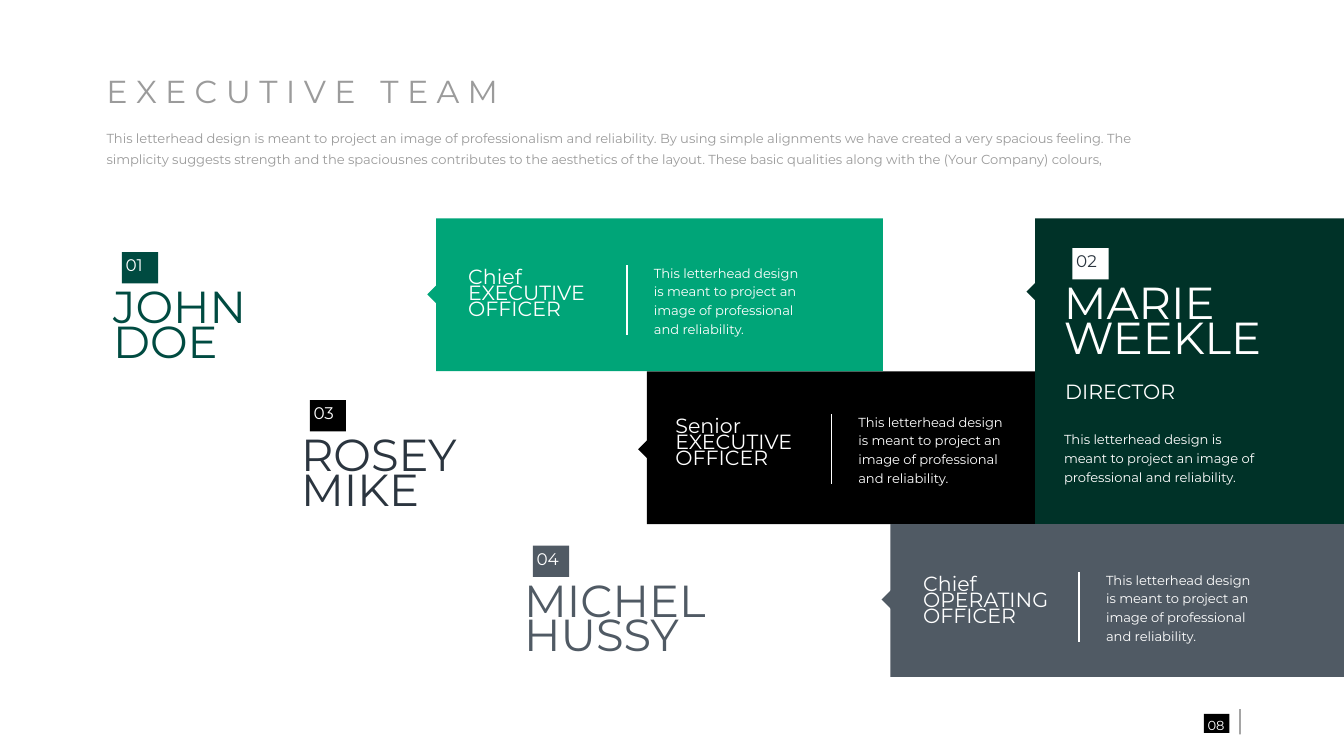
from pptx import Presentation
from pptx import util as u
from pptx.dml.color import RGBColor
from pptx.enum import shapes, text
from pptx.oxml.ns import qn
from lxml import etree

COLS, ROWS = 100, 56.25  # grid of square cells, a tenth of an inch each
FONT = "Montserrat"
WHITE, BLACK, GREY, INK = "FFFFFF", "000000", "9B9B9B", "2B353F"
GREEN, PINE, FOREST, SLATE = "00A578", "004B41", "003228", "505A64"
BLURB = ("This letterhead design is meant to project an image of "
         "professional and reliability.")
INTRO = ("This letterhead design is meant to project an image of professionalism "
         "and reliability. By using simple alignments we have created a very "
         "spacious feeling. The simplicity suggests strength and the spaciousnes "
         "contributes to the aesthetics of the layout. These basic qualities "
         "along with the (Your Company) colours,")


def cell(n):
    """Grid cells to a length."""
    return u.Inches(n / 10)


def rgb(code):
    return RGBColor.from_string(code)


def write(frame, words, size=7, color=WHITE, lead=1.2, align=text.PP_ALIGN.LEFT):
    """Fill a text frame, one paragraph for each line of words."""
    frame.word_wrap = True
    frame.auto_size = text.MSO_AUTO_SIZE.NONE
    frame.vertical_anchor = text.MSO_ANCHOR.MIDDLE
    frame.margin_left = frame.margin_right = 0
    frame.margin_top = frame.margin_bottom = 0
    for i, line in enumerate(words.split("\n")):
        para = frame.paragraphs[0] if i == 0 else frame.add_paragraph()
        para.alignment, para.line_spacing = align, lead
        para.space_before = u.Pt(0)
        run = para.add_run()
        run.text = line
        run.font.name, run.font.size = FONT, u.Pt(size)
        run.font.color.rgb = rgb(color)


class Page:
    def __init__(self, deck):
        self.slide = deck.slides.add_slide(deck.slide_layouts[5])
        self.items = self.slide.shapes

    def title(self, words, x, y, w, h):
        head = self.items.title
        head.left, head.top, head.width, head.height = map(cell, (x, y, w, h))
        write(head.text_frame, words, size=17, color=GREY, lead=0.7)

    def label(self, words, x, y, w, h, **style):
        box = self.items.add_textbox(*map(cell, (x, y, w, h)))
        write(box.text_frame, words, **style)

    def block(self, x, y, w, h, color, turn=0):
        rect = self.items.add_shape(
            shapes.MSO_SHAPE.RECTANGLE, *map(cell, (x, y, w, h)))
        rect.shadow.inherit = False
        rect.fill.solid()
        rect.fill.fore_color.rgb = rgb(color)
        rect.line.fill.background()
        rect.rotation = turn

    def band(self, x, y, w, h, color, notch):
        """Panel with a pointer on its left edge, notch rows down."""
        self.block(x, y, w, h, color)
        self.block(x - 0.45, y + notch, 1, 1, color, turn=45)

    def rule(self, x, y, h):
        line = self.items.add_connector(
            shapes.MSO_CONNECTOR.STRAIGHT, *map(cell, (x, y, x, y + h)))
        line.line.color.rgb = rgb(WHITE)
        line.line.width = u.Pt(1)
        etree.SubElement(line._element.spPr, qn("a:effectLst"))

    def person(self, num, name, x, y, w, color, badge, ink=WHITE):
        """Large name under a numbered badge."""
        self.label(name, x, y, w, 7.2, size=24, color=color, lead=0.65)
        self.block(x + 0.65, y - 2.23, 2.7, 2.33, badge)
        self.label(num, x + 0.93, y - 2.1, 2.4, 2, size=9, color=ink, lead=0.7)

    def role(self, post, x, y, gap):
        """Post and blurb, parted by a rule gap columns to the right."""
        self.label(post, x, y, 10.2, 4.9, size=11, lead=0.65)
        self.label(BLURB, x + gap + 2, y - 0.12, 11.4, 5.7)
        self.rule(x + gap, y + 0.18, 5.2)


def main():
    deck = Presentation()
    deck.slide_width, deck.slide_height = cell(COLS), cell(ROWS)
    page = Page(deck)

    page.title(" ".join("EXECUTIVE TEAM"), 7.92, 5.45, 30.6, 3.3)
    page.label(INTRO, 7.93, 9.34, 80.6, 3.1, color=GREY, lead=1.3)

    top, step = 16.26, 11.37  # first band and the height of each
    for x, row, end, tall, color, notch in (
            (48.13, 1, 77.03, 1, BLACK, 5.3),
            (32.45, 0, 65.7, 1, GREEN, 5.15),
            (77.03, 0, COLS, 2, FOREST, 4.95),
            (66.25, 2, COLS, 1, SLATE, 5.12)):
        page.band(x, top + row * step, end - x, tall * step, color, notch)

    page.person("01", "JOHN\nDOE", 8.42, 21, 11.4, PINE, PINE)
    page.person("02", "MARIE WEEKLE", 79.15, 20.7, 15.2, WHITE, WHITE, ink=INK)
    page.person("03", "ROSEY MIKE", 22.4, 32, 12.7, INK, BLACK)
    page.person("04", "MICHEL HUSSY", 39, 42.83, 14.1, SLATE, SLATE)

    page.role("Chief\nEXECUTIVE\nOFFICER", 34.83, 19.56, 11.83)
    page.role("Senior\nEXECUTIVE\nOFFICER", 50.25, 30.64, 11.62)
    page.role("Chief\nOPERATING OFFICER", 68.68, 42.4, 11.62)
    page.label("DIRECTOR", 79.25, 28.2, 15.2, 2.3, size=11, lead=0.65)
    page.label(BLURB, 79.17, 31.82, 15.1, 4.3)

    page.block(89.57, 53.13, 1.9, 1.4, BLACK)
    page.label("08", 89.33, 53.03, 2.3, 1.6, lead=1.3, align=text.PP_ALIGN.CENTER)
    page.block(92.23, 52.77, 0.06, 1.87, BLACK)

    deck.save("out.pptx")


if __name__ == "__main__":
    main()
